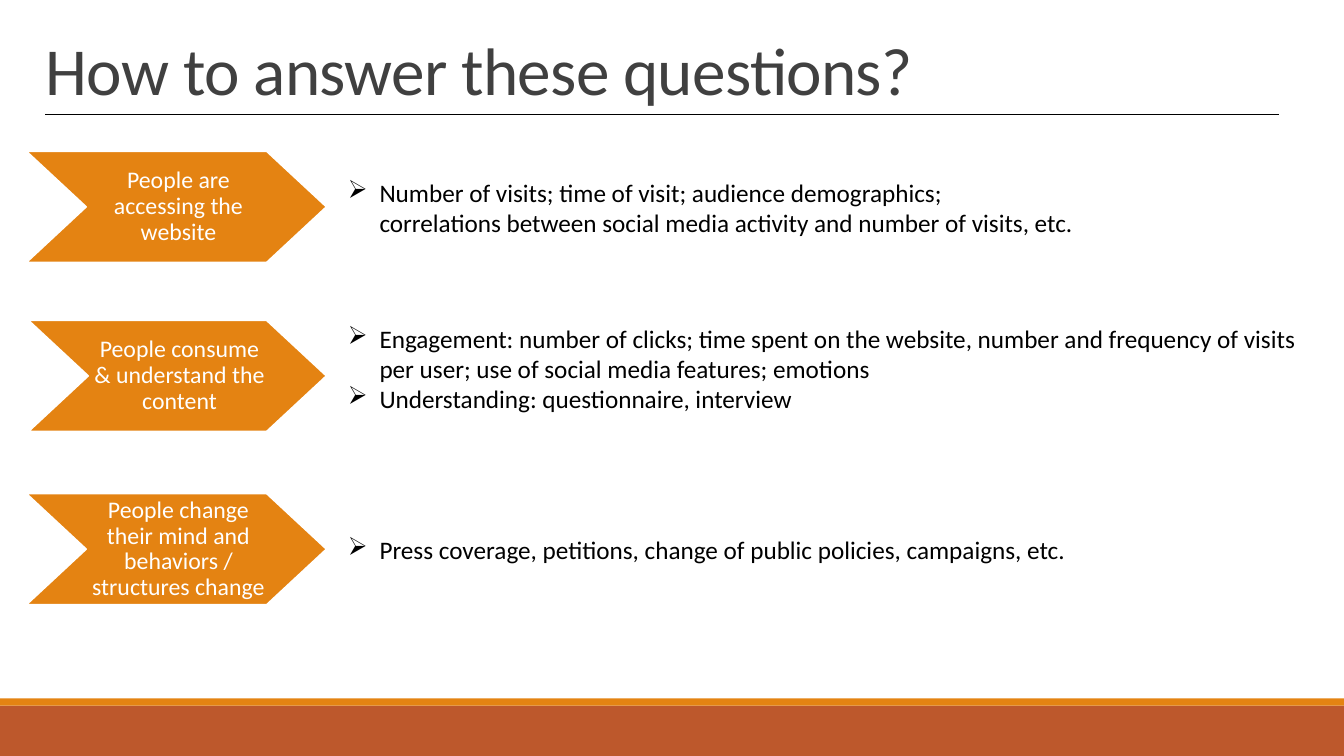
from lxml.etree import SubElement
from pptx import Presentation
from pptx.dml.color import RGBColor
from pptx.enum.shapes import MSO_CONNECTOR as Connector, MSO_SHAPE as Shape
from pptx.enum.text import MSO_ANCHOR as Anchor, MSO_AUTO_SIZE as AutoSize, PP_ALIGN as Align
from pptx.oxml.ns import qn
from pptx.util import Pt

PX = 9525  # EMU in one px, 96 px to the inch


def px(*lengths):
    return [length * PX for length in lengths]


def color(value):
    return RGBColor.from_string(value)


class QuestionPage:
    face = "Calibri"
    orange, rust, white, black, gray = "E48312", "BD582C", "FFFFFF", "000000", "404040"

    def __init__(self, deck):
        self.page = deck.slides.add_slide(deck.slide_layouts[5])
        self.shapes = self.page.shapes

    def style(self, para, size, ink):
        para.font.name = self.face
        para.font.size = Pt(size)
        para.font.color.rgb = color(ink)

    def title(self, text, left, top, width, height):
        box = self.shapes.title
        box.left, box.top, box.width, box.height = px(left, top, width, height)
        frame = box.text_frame
        frame.text = text
        frame.word_wrap = True
        frame.auto_size = AutoSize.NONE
        frame.vertical_anchor = Anchor.BOTTOM
        para = frame.paragraphs[0]
        para.alignment = Align.LEFT
        para.line_spacing = 0.85
        self.style(para, 48, self.gray)
        para.runs[0].font._element.set("spc", "-50")

    def block(self, kind, left, top, width, height, fill):
        shape = self.shapes.add_shape(kind, *px(left, top, width, height))
        shape.shadow.inherit = False
        shape.fill.solid()
        shape.fill.fore_color.rgb = color(fill)
        shape.line.fill.background()
        return shape

    def chevron(self, text, left, top, width, height):
        shape = self.block(Shape.CHEVRON, left, top, width, height, self.orange)
        shape.adjustments[0] = 57 / height
        shape.line.color.rgb = color(self.white)
        shape.line.width = Pt(1.25)
        frame = shape.text_frame
        frame.word_wrap = True
        frame.vertical_anchor = Anchor.MIDDLE
        frame.margin_left, frame.margin_top, frame.margin_right, frame.margin_bottom = px(4, 2, 0, 2)
        frame.text = text
        para = frame.paragraphs[0]
        para.alignment = Align.CENTER
        para.line_spacing = 0.9
        self.style(para, 17, self.white)

    def bullets(self, items, left, top, width, height):
        frame = self.shapes.add_textbox(*px(left, top, width, height)).text_frame
        frame.word_wrap = True
        frame.auto_size = AutoSize.SHAPE_TO_FIT_TEXT
        frame.text = "\n".join(items)
        for para in frame.paragraphs:
            properties = para._p.get_or_add_pPr()
            indent = 30 * PX
            properties.set("marL", str(indent))
            properties.set("indent", str(-indent))
            SubElement(properties, qn("a:buChar")).set("char", "➢")
            self.style(para, 18, self.black)

    def rule(self, left, right, y):
        line = self.shapes.add_connector(Connector.STRAIGHT, *px(left, y, right, y))
        line.line.color.rgb = color(self.black)
        line.line.width = Pt(1)
        SubElement(line._element.spPr, qn("a:effectLst"))


def main():
    deck = Presentation()
    deck.slide_width, deck.slide_height = px(1280, 720)
    page = QuestionPage(deck)

    # Footer bands
    page.block(Shape.RECTANGLE, 0, 672, 1280, 48, page.rust)
    page.block(Shape.RECTANGLE, 0, 665, 1280, 7, page.orange)

    # Heading
    page.title("How to answer these questions?", 34, 17, 1056, 92)
    page.rule(43, 1218, 109)

    # Each question: label, its left and top, then answers, their top, width and height
    questions = [
        ("People are accessing the website", 25, 144,
         ["Number of visits; time of visit; audience demographics; \v"
          "correlations between social media activity and number of visits, etc."], 164, 877, 68),
        ("People consume & understand the content", 27, 305,
         ["Engagement: number of clicks; time spent on the website, number and frequency "
          "of visits per user; use of social media features; emotions",
          "Understanding: questionnaire, interview"], 303, 925, 97),
        ("People change their mind and behaviors / structures change", 25, 470,
         ["Press coverage, petitions, change of public policies, campaigns, etc."], 504, 877, 38),
    ]
    arrow_tip = 311
    for label, left, top, answers, list_top, width, height in questions:
        page.chevron(label, left, top, arrow_tip - left, 106)
        page.bullets(answers, 322, list_top, width, height)

    deck.save("out.pptx")


if __name__ == "__main__":
    main()
